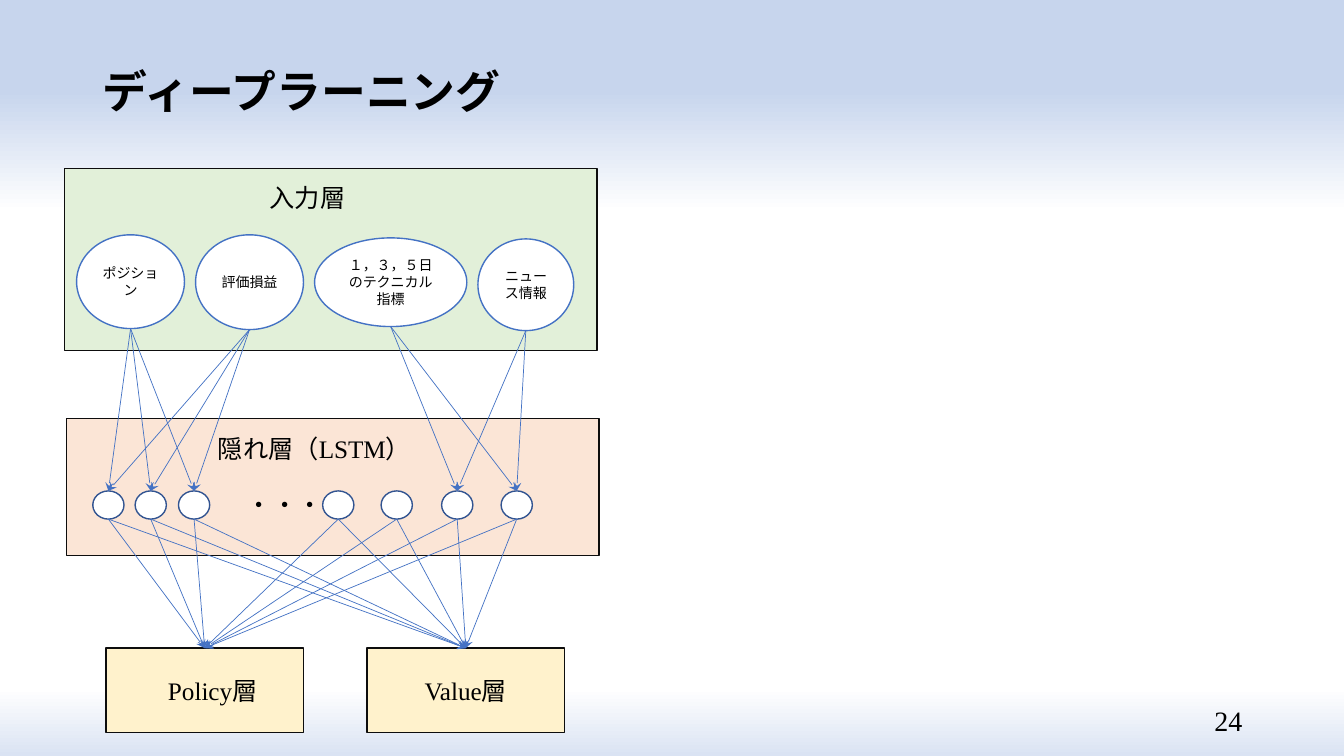
from dataclasses import dataclass
from itertools import product

from lxml.etree import SubElement
from pptx import Presentation
from pptx.dml.color import RGBColor
from pptx.enum.shapes import MSO_CONNECTOR, MSO_SHAPE
from pptx.enum.text import MSO_ANCHOR, PP_ALIGN
from pptx.oxml.ns import qn
from pptx.util import Inches, Pt


@dataclass(frozen=True)
class Theme:
    font: str = "Times New Roman"
    text: str = "000000"
    frame: str = "0D0D0D"
    blue: str = "4472C4"
    node_line: str = "325491"
    white: str = "FFFFFF"
    input_fill: str = "E2F0D9"
    hidden_fill: str = "FBE5D6"
    output_fill: str = "FFF2CC"
    background: tuple = ((12, "C7D5ED"), (28, "FFFFFF"), (91, "FFFFFF"), (100, "DAE3F3"))
    title: int = 32
    number: int = 20
    label: int = 18
    small: int = 10


T = Theme()


def rgb(value):
    return RGBColor.from_string(value)


def write(tf, text, size=T.label, bold=False, align=PP_ALIGN.CENTER,
          anchor=MSO_ANCHOR.TOP, spacing=None):
    tf.word_wrap = True
    tf.vertical_anchor = anchor
    p = tf.paragraphs[0]
    p.alignment = align
    p.line_spacing = spacing
    r = p.add_run()
    r.text = text
    r.font.name = T.font
    r.font.size = Pt(size)
    r.font.bold = bold
    r.font.color.rgb = rgb(T.text)


def add_label(s, box, text, **fmt):
    tb = s.shapes.add_textbox(*map(Inches, box))
    write(tb.text_frame, text, **fmt)


def add_block(s, kind, box, fill, line):
    sp = s.shapes.add_shape(kind, *map(Inches, box))
    sp.shadow.inherit = False
    sp.fill.solid()
    sp.fill.fore_color.rgb = rgb(fill)
    sp.line.color.rgb = rgb(line)
    sp.line.width = Pt(1)
    return sp


def add_arrow(s, source, target):
    x, y = source.left + source.width // 2, source.top + source.height
    c = s.shapes.add_connector(MSO_CONNECTOR.STRAIGHT, x, y, x, y)
    c.end_connect(target, 0)
    c.line.color.rgb = rgb(T.blue)
    c.line.width = Pt(0.5)
    SubElement(c.line._get_or_add_ln(), qn("a:tailEnd"), type="stealth")
    SubElement(c._element.spPr, qn("a:effectLst"))


def paint_background(s):
    fill = s.background.fill
    fill.gradient()
    fill.gradient_angle = 270
    stops = s._element.find(".//" + qn("a:gsLst"))
    for gs in list(stops):
        stops.remove(gs)
    for position, color in T.background:
        gs = SubElement(stops, qn("a:gs"), pos=str(position * 1000))
        SubElement(gs, qn("a:srgbClr"), val=color)


def add_title(s, box, text):
    title = s.shapes.title
    title.left, title.top, title.width, title.height = map(Inches, box)
    write(title.text_frame, text, size=T.title, bold=True, align=PP_ALIGN.LEFT,
          anchor=MSO_ANCHOR.MIDDLE, spacing=0.9)


def add_input_layer(s, box):
    x, y, w, h = box
    add_block(s, MSO_SHAPE.RECTANGLE, box, T.input_fill, T.frame)
    add_label(s, (x + 1.59, y + 0.09, 1.64, 0.4), "入力層")
    features = (
        ("ポジション", 0.12, 0.66, 1.07, 0.93),
        ("評価損益", 1.3, 0.66, 1.07, 0.94),
        ("１，３，５日のテクニカル指標", 2.48, 0.69, 1.51, 0.88),
        ("ニュース情報", 4.1, 0.7, 0.95, 0.91),
    )
    inputs = []
    for text, dx, dy, width, height in features:
        sp = add_block(s, MSO_SHAPE.OVAL, (x + dx, y + dy, width, height), T.white, T.blue)
        write(sp.text_frame, text, size=T.small, anchor=MSO_ANCHOR.MIDDLE)
        inputs.append(sp)
    return inputs


def add_hidden_layer(s, box):
    x, y, w, h = box
    add_block(s, MSO_SHAPE.RECTANGLE, box, T.hidden_fill, T.frame)
    add_label(s, (x + 1.24, y + 0.1, 2.44, 0.4), "隠れ層（LSTM）")
    add_label(s, (x + 1.69, y + 0.66, 1.01, 0.4), "・・・", align=PP_ALIGN.LEFT)
    offsets = (0.26, 0.68, 1.11, 2.54, 3.12, 3.72, 4.31)
    return [add_block(s, MSO_SHAPE.OVAL, (x + dx, y + 0.72, 0.31, 0.28),
                      T.white, T.node_line) for dx in offsets]


def add_output_layer(s, box, text, label_dx):
    x, y, w, h = box
    sp = add_block(s, MSO_SHAPE.RECTANGLE, box, T.output_fill, T.frame)
    add_label(s, (x + label_dx, y + 0.22, 2.44, 0.4), text)
    return sp


def add_network(s, box):
    x, y, w, h = box
    inputs = add_input_layer(s, (x, y, 5.28, 1.81))
    hidden = add_hidden_layer(s, (x + 0.02, y + 2.48, 5.28, 1.36))
    outputs = [add_output_layer(s, (x + dx, y + 4.76, 1.96, 0.84), text, label_dx)
               for text, dx, label_dx in (("Policy層", 0.41, -0.16), ("Value層", 3, -0.24))]
    first, last = hidden[:3], hidden[-2:]
    for feature, nodes in zip(inputs, (first, first, last, last)):
        for node in nodes:
            add_arrow(s, feature, node)
    for node, output in product(hidden, outputs):
        add_arrow(s, node, output)


def main():
    prs = Presentation()
    prs.slide_width, prs.slide_height = Inches(13.33), Inches(7.5)
    s = prs.slides.add_slide(prs.slide_layouts[5])
    paint_background(s)
    add_title(s, (0.92, 0.4, 11.5, 1.06), "ディープラーニング")
    add_label(s, (9.42, 6.95, 3, 0.4), "24", size=T.number,
              align=PP_ALIGN.RIGHT, anchor=MSO_ANCHOR.MIDDLE)
    add_network(s, (0.64, 1.67, 5.3, 5.6))
    prs.save("out.pptx")


if __name__ == "__main__":
    main()
